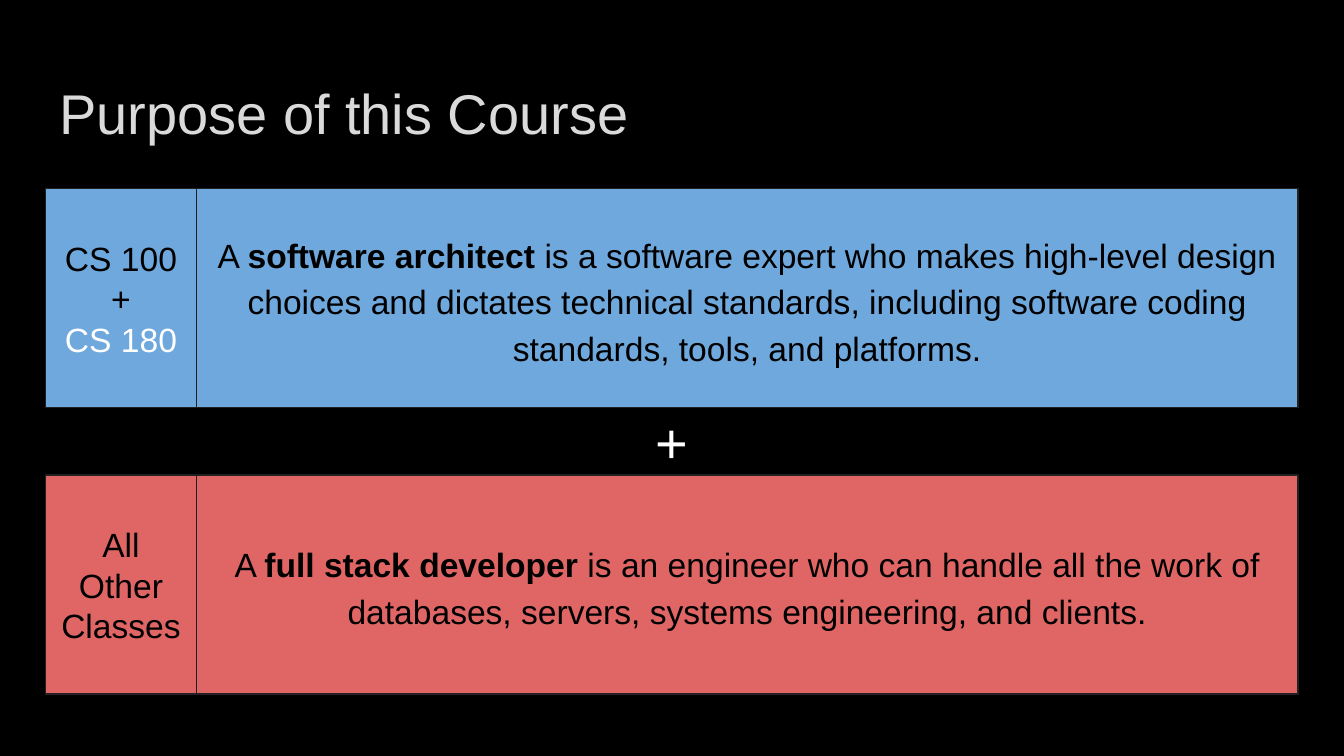
import pptx
import pptx.dml.color
import pptx.enum.shapes
import pptx.enum.text
import pptx.util

RGBColor = pptx.dml.color.RGBColor
BLACK = RGBColor(0x00, 0x00, 0x00)
WHITE = RGBColor(0xFF, 0xFF, 0xFF)
LIGHT_GRAY = RGBColor(0xDA, 0xDA, 0xDA)
OUTLINE = RGBColor(0x21, 0x21, 0x23)
BLUE = RGBColor(0x6F, 0xA8, 0xDC)
RED = RGBColor(0xE0, 0x66, 0x66)

ALIGN = pptx.enum.text.PP_ALIGN
ANCHOR = pptx.enum.text.MSO_ANCHOR
EMU_PER_PX = 4572
SLIDE_WIDTH, SLIDE_HEIGHT = 2000, 1125
MARGIN = 68
ROW_WIDTH = SLIDE_WIDTH - 2 * MARGIN
ROW_HEIGHT = 326
LABEL_WIDTH = 224
INSET = 20


def px(length):
    """Convert px, at 200 to the inch, into EMU."""
    return pptx.util.Emu(length * EMU_PER_PX)


def format_frame(frame, anchor):
    """Give a text frame the shared insets, wrapping and an anchor."""
    frame.margin_left = frame.margin_right = px(INSET)
    frame.margin_top = frame.margin_bottom = px(INSET)
    frame.word_wrap = True
    frame.auto_size = pptx.enum.text.MSO_AUTO_SIZE.NONE
    frame.vertical_anchor = anchor


def add_run(paragraph, text, size, color, bold=False):
    """Append one formatted run to a paragraph."""
    run = paragraph.add_run()
    run.text = text
    run.font.name = "Arial"
    run.font.size = pptx.util.Pt(size)
    run.font.color.rgb = color
    run.font.bold = bold


def add_title(slide, box, text):
    """Place the slide title in its placeholder."""
    title = slide.shapes.title
    title.left, title.top, title.width, title.height = map(px, box)
    format_frame(title.text_frame, ANCHOR.TOP)
    paragraph = title.text_frame.paragraphs[0]
    paragraph.alignment = ALIGN.LEFT
    add_run(paragraph, text, 30, LIGHT_GRAY)


def add_panel(slide, box, fill):
    """Add an outlined rectangle and return its text frame."""
    panel = slide.shapes.add_shape(
        pptx.enum.shapes.MSO_SHAPE.RECTANGLE, *map(px, box))
    panel.shadow.inherit = False
    panel.fill.solid()
    panel.fill.fore_color.rgb = fill
    panel.line.color.rgb = OUTLINE
    panel.line.width = pptx.util.Pt(0.75)
    format_frame(panel.text_frame, ANCHOR.MIDDLE)
    return panel.text_frame


def add_role_row(slide, box, fill, classes, role, description):
    """Add a role definition with the classes that lead to it on its left."""
    left, top, width, height = box
    definition = add_panel(
        slide, (left + LABEL_WIDTH, top, width - LABEL_WIDTH, height), fill)
    sentence = definition.paragraphs[0]
    sentence.alignment = ALIGN.CENTER
    sentence.line_spacing = 1.15
    add_run(sentence, "A ", 18, BLACK)
    add_run(sentence, role, 18, BLACK, bold=True)
    add_run(sentence, description, 18, BLACK)

    label = add_panel(slide, (left, top, LABEL_WIDTH, height), fill)
    for index, (lines, color) in enumerate(classes):
        paragraph = label.add_paragraph() if index else label.paragraphs[0]
        paragraph.alignment = ALIGN.CENTER
        for line_index, line in enumerate(lines):
            if line_index:
                paragraph.add_line_break()
            add_run(paragraph, line, 18, color)


def add_plus(slide, box):
    """Add the plus sign that joins the two roles."""
    plus = slide.shapes.add_textbox(*map(px, box))
    format_frame(plus.text_frame, ANCHOR.MIDDLE)
    paragraph = plus.text_frame.paragraphs[0]
    paragraph.alignment = ALIGN.CENTER
    add_run(paragraph, "+", 30, WHITE)


def main():
    """Build the course purpose slide and save it."""
    presentation = pptx.Presentation()
    presentation.slide_width = px(SLIDE_WIDTH)
    presentation.slide_height = px(SLIDE_HEIGHT)
    slide = presentation.slides.add_slide(presentation.slide_layouts[5])
    slide.background.fill.solid()
    slide.background.fill.fore_color.rgb = BLACK

    add_title(slide, (MARGIN, 97, ROW_WIDTH, 125), "Purpose of this Course")
    add_role_row(
        slide, (MARGIN, 281, ROW_WIDTH, ROW_HEIGHT), BLUE,
        [(["CS 100", "+"], BLACK), (["CS 180"], WHITE)],
        "software architect",
        " is a software expert who makes high-level design choices and "
        "dictates technical standards, including software coding standards, "
        "tools, and platforms.")
    add_role_row(
        slide, (MARGIN, 707, ROW_WIDTH, ROW_HEIGHT), RED,
        [(["All Other Classes"], BLACK)],
        "full stack developer",
        " is an engineer who can handle all the work of databases, servers, "
        "systems engineering, and clients.")
    add_plus(slide, (937, 620, 125, 74))
    presentation.save("out.pptx")


if __name__ == "__main__":
    main()
